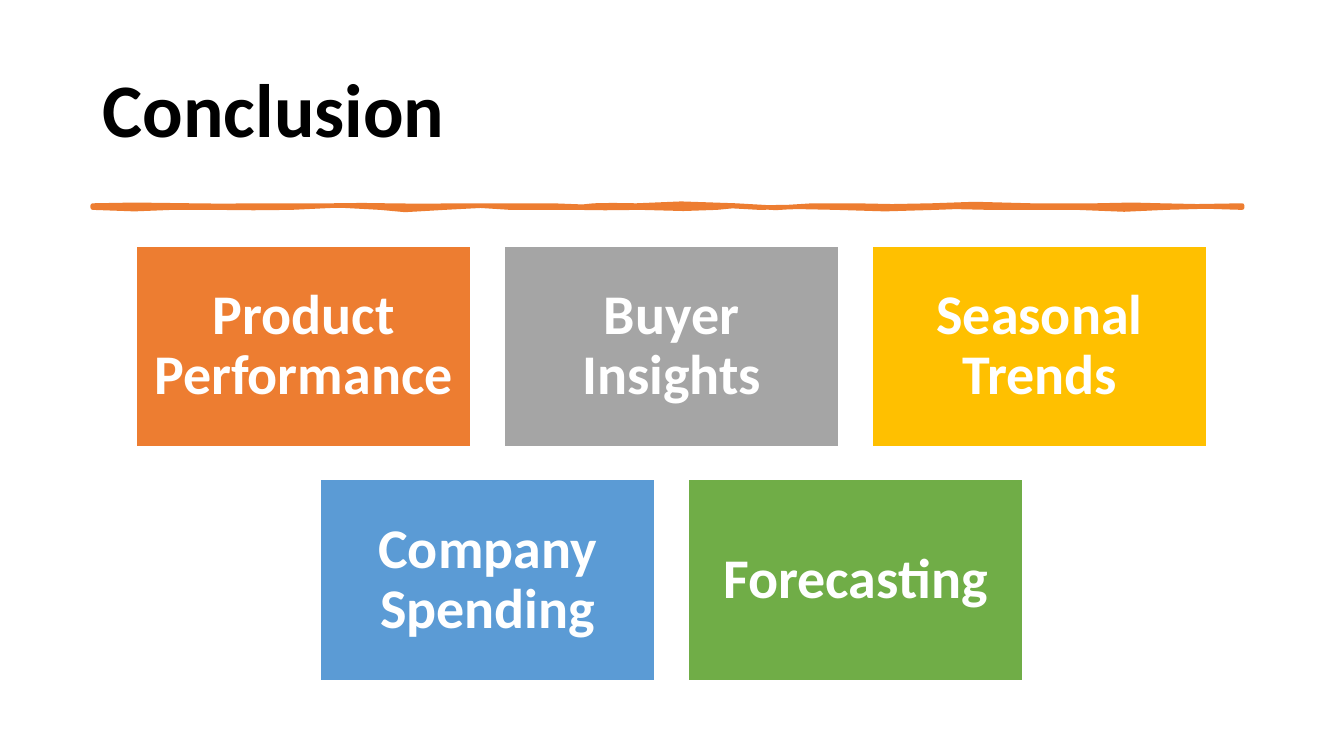
from pptx import Presentation
from pptx.dml.color import RGBColor
from pptx.enum import shapes, text
from pptx.util import Inches, Pt

ACCENT = "ED7D31"
WHITE = "FFFFFF"

# Topic cards, row by row: label and fill
TOPIC_ROWS = [
    [("Product Performance", ACCENT), ("Buyer Insights", "A5A5A5"),
     ("Seasonal Trends", "FFC000")],
    [("Company Spending", "5B9BD5"), ("Forecasting", "70AD47")],
]
CARD_WIDTH, CARD_HEIGHT = 3.32, 1.99
PITCH_X, PITCH_Y = 3.65, 2.32
CENTER_X, FIRST_TOP = 6.66, 2.44

# Hand-drawn rule: cubic curves as (control 1, control 2, end) in inches
RULE_START = (0.92, 2.04)
RULE_CURVES = [
    # Upper edge, left to right
    (1.19, 2.04, 1.44, 2.02, 1.9, 2.04), (2.37, 2.06, 2.2, 2.03, 2.44, 2.04),
    (2.67, 2.05, 3.03, 2.03, 3.31, 2.04), (3.6, 2.05, 3.59, 2.02, 3.84, 2.04),
    (4.1, 2.06, 4.23, 2.03, 4.6, 2.04), (4.98, 2.05, 5.14, 2.03, 5.48, 2.04),
    (5.81, 2.05, 5.81, 2.06, 5.89, 2.04), (5.98, 2.02, 6.15, 2.05, 6.31, 2.04),
    (6.47, 2.03, 7.01, 2, 7.3, 2.04), (7.59, 2.08, 7.81, 2.06, 8.06, 2.04),
    (8.31, 2.02, 8.27, 2.06, 8.48, 2.04), (8.68, 2.02, 9.01, 2.08, 9.24, 2.04),
    (9.47, 2, 9.82, 2.04, 10.23, 2.04), (10.63, 2.04, 10.63, 2.04, 10.87, 2.04),
    (11.12, 2.04, 11.36, 2.02, 11.52, 2.04),
    (11.68, 2.06, 12.03, 2.04, 12.32, 2.04),
    # Right end, then lower edge back to the left
    (12.32, 2.05, 12.32, 2.05, 12.32, 2.06),
    (12.05, 2.06, 11.89, 2.03, 11.56, 2.06),
    (11.22, 2.09, 11.1, 2.08, 10.68, 2.06),
    (10.27, 2.04, 10.23, 2.08, 9.81, 2.06), (9.39, 2.04, 9.52, 2.06, 9.28, 2.06),
    (9.04, 2.06, 8.51, 2.1, 8.29, 2.06), (8.06, 2.02, 7.82, 2.08, 7.53, 2.06),
    (7.24, 2.04, 7.25, 2.04, 7.11, 2.06), (6.98, 2.08, 6.61, 2.07, 6.35, 2.06),
    (6.09, 2.05, 5.9, 2.08, 5.7, 2.06), (5.51, 2.04, 5.28, 2.08, 5.06, 2.06),
    (4.83, 2.04, 4.73, 2.03, 4.41, 2.06), (4.09, 2.09, 3.9, 2.09, 3.77, 2.06),
    (3.63, 2.03, 3.1, 2.03, 2.89, 2.06), (2.68, 2.09, 2.35, 2.04, 2.13, 2.06),
    (1.92, 2.08, 1.89, 2.04, 1.71, 2.06), (1.54, 2.08, 1.14, 2.08, 0.92, 2.06),
]


def color(hex_value):
    return RGBColor.from_string(hex_value)


def set_attributes(target, values):
    for name, value in values.items():
        setattr(target, name, value)


def write(frame, wording, size, hex_value, align):
    frame.text = wording
    set_attributes(frame, {"word_wrap": True,
                           "auto_size": text.MSO_AUTO_SIZE.NONE,
                           "vertical_anchor": text.MSO_ANCHOR.MIDDLE})
    paragraph = frame.paragraphs[0]
    set_attributes(paragraph, {"alignment": align, "line_spacing": 0.9})
    font = paragraph.runs[0].font
    set_attributes(font, {"name": "Calibri", "size": Pt(size), "bold": True})
    font.color.rgb = color(hex_value)


def paint(shape, fill, line, line_width):
    shape.shadow.inherit = False
    shape.fill.solid()
    shape.fill.fore_color.rgb = color(fill)
    shape.line.color.rgb = color(line)
    shape.line.width = Pt(line_width)


def add_title(slide, wording):
    title = slide.shapes.title
    set_attributes(title, {"left": Inches(0.92), "top": Inches(0.4),
                           "width": Inches(11.5), "height": Inches(1.45)})
    write(title.text_frame, wording, 54, "000000", text.PP_ALIGN.LEFT)


def curve_points(start, curves):
    """Yield the midpoint and end of each consecutive cubic curve."""
    x0, y0 = start
    for x1, y1, x2, y2, x3, y3 in curves:
        yield (Inches((x0 + 3 * x1 + 3 * x2 + x3) / 8),
               Inches((y0 + 3 * y1 + 3 * y2 + y3) / 8))
        yield Inches(x3), Inches(y3)
        x0, y0 = x3, y3


def add_rule(slide):
    outline = slide.shapes.build_freeform(*(Inches(v) for v in RULE_START))
    outline.add_line_segments(curve_points(RULE_START, RULE_CURVES), close=True)
    paint(outline.convert_to_shape(), ACCENT, ACCENT, 3.25)


def add_card(slide, left, top, label, fill):
    card = slide.shapes.add_shape(
        shapes.MSO_SHAPE.RECTANGLE, Inches(left), Inches(top),
        Inches(CARD_WIDTH), Inches(CARD_HEIGHT))
    paint(card, fill, WHITE, 1)
    sides = ("left", "top", "right", "bottom")
    set_attributes(card.text_frame,
                   {f"margin_{side}": Inches(0.17) for side in sides})
    write(card.text_frame, label, 40, WHITE, text.PP_ALIGN.CENTER)


def add_topics(slide):
    for row, topics in enumerate(TOPIC_ROWS):
        row_width = (len(topics) - 1) * PITCH_X + CARD_WIDTH
        row_left = CENTER_X - row_width / 2
        for column, (label, fill) in enumerate(topics):
            add_card(slide, row_left + column * PITCH_X,
                     FIRST_TOP + row * PITCH_Y, label, fill)


def main():
    deck = Presentation()
    deck.slide_width, deck.slide_height = Inches(13.33), Inches(7.5)
    slide = deck.slides.add_slide(deck.slide_layouts.get_by_name("Title Only"))
    add_title(slide, "Conclusion")
    add_rule(slide)
    add_topics(slide)
    deck.save("out.pptx")


if __name__ == "__main__":
    main()
